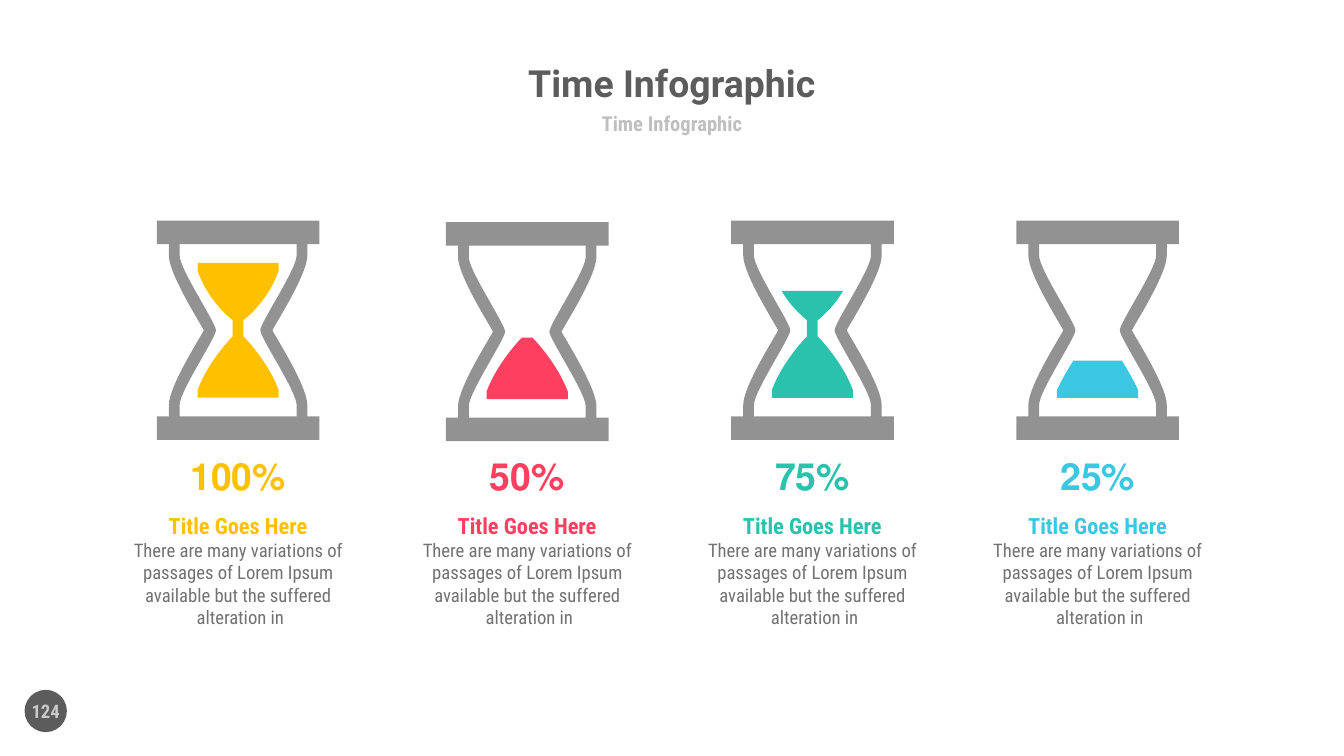
"""Build the Time Infographic slide with four hourglasses."""
from dataclasses import dataclass

from lxml.etree import SubElement as Sub
from pptx import Presentation as Deck
from pptx.dml.color import RGBColor as Rgb
from pptx.enum.shapes import MSO_SHAPE as Kind
from pptx.enum.text import MSO_ANCHOR as Anchor, PP_ALIGN as Align
from pptx.oxml.ns import qn
from pptx.util import Inches, Pt


@dataclass(frozen=True)
class Theme:
    dark: str = "5C5C5C"
    frame: str = "929292"
    pale: str = "BFBFBF"
    page: str = "C9C9C9"
    body: str = "727272"
    gold: str = "FFC000"
    rose: str = "FF3F5F"
    teal: str = "2AC2AC"
    sky: str = "3BC7E2"
    wide: str = "Roboto"
    slim: str = "Roboto Condensed"
    digit: str = "Helvetica"
    big: int = 20
    head: int = 12
    sub: int = 11
    small: int = 10


def write(box, lines, inset=True, rtl=False, anchor=Anchor.TOP):
    """Add centred paragraphs of (text, size, font, colour, bold) to a box."""
    frame = slide.shapes.add_textbox(*(int(unit * n) for n in box)).text_frame
    frame.word_wrap = inset
    frame.vertical_anchor = anchor
    if not inset:
        frame.margin_left = frame.margin_right = 0
        frame.margin_top = frame.margin_bottom = 0
    for i, (text, size, face, tint, bold) in enumerate(lines):
        para = frame.add_paragraph() if i else frame.paragraphs[0]
        para.alignment = Align.CENTER
        para.text = text
        font = para.font
        font.size, font.name, font.bold = Pt(size), face, bold
        font.color.rgb = Rgb.from_string(tint)
        if rtl:
            props = para._p.get_or_add_pPr()
            props.set("rtl", "1")
            Sub(props.find(qn("a:defRPr")), qn("a:cs"), typeface=look.digit)


def draw(rings, left, top, tint):
    """Fill outlines whose points run start, then control, control, end."""
    pen = None
    for ring in rings:
        pts = [(int(unit * (left + x)), int(unit * (top + y))) for x, y in ring]
        if pen is None:
            pen = slide.shapes.build_freeform(*pts[0])
        else:
            pen.move_to(*pts[0])
        pen.add_line_segments(pts[1:], close=True)
    form = pen.convert_to_shape()
    legs = list(form._element.iter(qn("a:lnTo")))
    for i in range(0, len(legs), 3):
        legs[i].tag = qn("a:cubicBezTo")
        for leg in legs[i + 1:i + 3]:
            legs[i].append(leg[0])
            leg.getparent().remove(leg)
    form.shadow.inherit = False
    form.fill.solid()
    form.fill.fore_color.rgb = Rgb.from_string(tint)
    form.line.fill.background()


look = Theme()
deck = Deck()
deck.slide_width = Inches(10)
deck.slide_height = deck.slide_width * 9 // 16
slide = deck.slides.add_slide(deck.slide_layouts[6])
unit = deck.slide_width / 100

dot = slide.shapes.add_shape(Kind.OVAL, *(int(unit * n) for n in (1.83, 51.33, 3.15, 3.15)))
dot.shadow.inherit = False
dot.fill.solid()
dot.fill.fore_color.rgb = Rgb.from_string(look.dark)
dot.line.fill.background()

write((19.15, 4.2, 61.7, 3.9), [("Time Infographic", look.big, look.wide, look.dark, True)],
      inset=False, anchor=Anchor.MIDDLE)
write((27.5, 8.1, 45, 2.2), [("Time Infographic", look.sub, look.slim, look.pale, True)],
      inset=False, anchor=Anchor.MIDDLE)
write((0.9, 51.4, 5, 3), [("124", look.small, look.slim, look.page, True)], anchor=Anchor.MIDDLE)

outer = [(6.05, 8.15)] + [(6.05, 6.4)] * 3 + [(5.15, 6.4)] * 3 + [(5.15, 5.55)] * 3
outer += [(5.15, 4.15), (2.7, 0.35), (2.55, 0)]
inner = [(4.35, 6.4)] + [(4.35, 5.55)] * 3 + [(4.35, 4.55), (1.65, 0.55), (1.65, 0)]
glass = [half + [(x, -y) for x, y in half[-2::-1]] for half in (outer, inner)]

base = [(3.02, 5.02)] + [(3.02, 4.45)] * 3
heap = base + [(2.2, 2.25), (0.4, 0.45), (0.4, 0.45)]
neck = heap + [(0.4, -0.75)] * 3
full = neck + [(2.4, -2.35), (3.02, -4.45), (3.02, -4.45)] + [(3.02, -5.02)] * 3
most = neck + [(1.3, -1.5), (1.9, -2.25), (2.28, -2.93)]
low = base + [(2.6, 3.55), (2.2, 2.9), (1.8, 2.25)]

blurb = ("There are many variations of passages of Lorem Ipsum "
         "available but the suffered\v alteration in")
items = [
    (17.72, 24.58, "100%", look.gold, full),
    (39.23, 24.68, "50%", look.rose, heap),
    (60.45, 24.58, "75%", look.teal, most),
    (81.67, 24.58, "25%", look.sky, low),
]
for mid, waist, rate, tint, sand in items:
    halves = [sand] if sand is not None else []
    for shape, fill in ((halves, tint), (glass, look.frame)):
        rings = []
        for half in shape:
            back = [(-x, y) for x, y in reversed(half)]
            rings.append(half + back[:1] * 2 + back)
        draw(rings, mid, waist, fill)
    write((mid - 9.8, 37.6, 19.6, 9.8),
          [("Title Goes Here", look.head, look.slim, tint, True),
           (blurb, look.small, look.slim, look.body, False)], rtl=True)
    write((mid - 5.6, 33.2, 11.2, 4.4), [(rate, look.big, look.slim, tint, True)], rtl=True)

deck.save("out.pptx")
